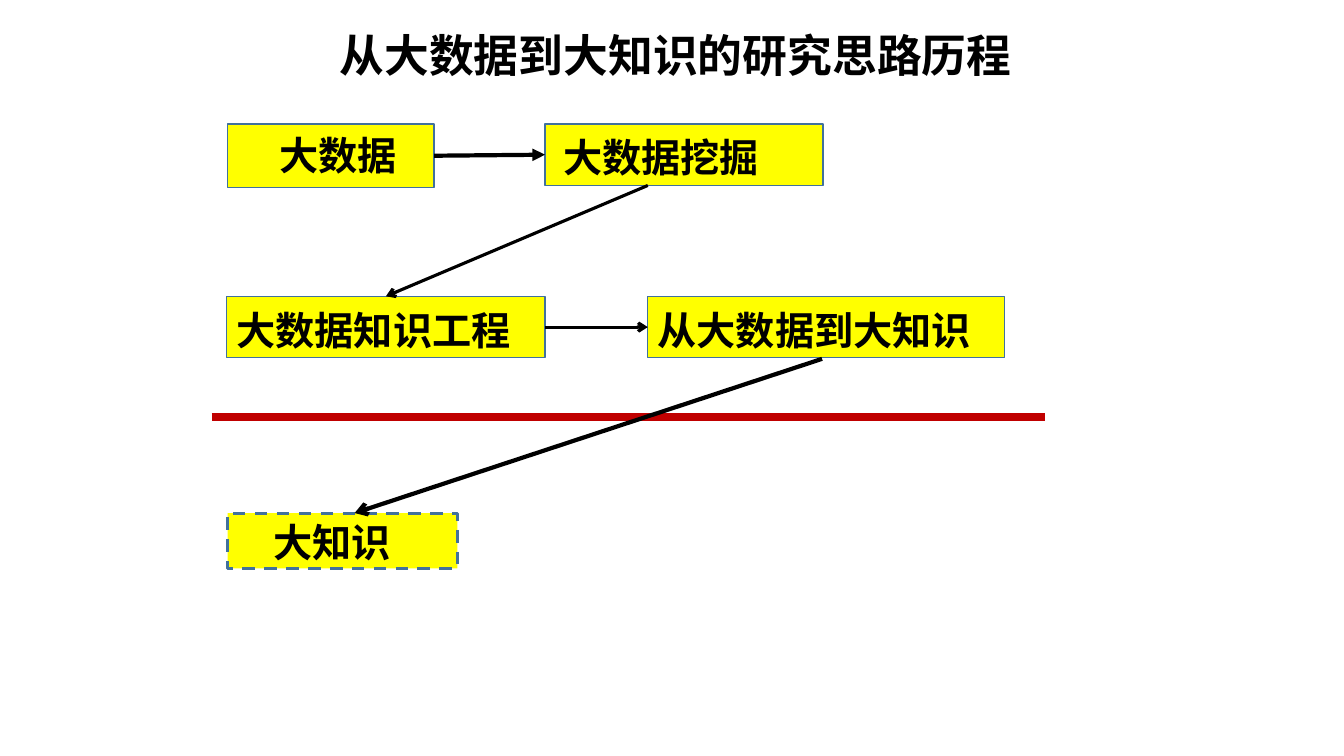
from lxml.etree import SubElement
from pptx import Presentation
from pptx.dml.color import RGBColor
from pptx.enum.dml import MSO_LINE
from pptx.enum.lang import MSO_LANGUAGE_ID
from pptx.enum.shapes import MSO_CONNECTOR, MSO_SHAPE
from pptx.enum.text import MSO_ANCHOR, MSO_AUTO_SIZE, PP_ALIGN
from pptx.oxml.ns import qn
from pptx.util import Inches, Pt

TOP, LEFT, BOTTOM, RIGHT = range(4)


def color(hex_value):
    """Turn a hex string into a colour."""
    return RGBColor.from_string(hex_value)


def grid(*cells):
    """Turn counts of columns or rows, ten to the inch, into lengths."""
    return [Inches(c / 10) for c in cells]


class Deck:
    """Hold the style and the current slide."""

    ink, box_fill, box_line = "000000", "FFFF00", "41719C"
    font = {"name": "Calibri", "bold": True,
            "language_id": MSO_LANGUAGE_ID.SIMPLIFIED_CHINESE}

    def __init__(self, cols, rows):
        """Start a deck with one title-only slide."""
        self.prs = Presentation()
        self.prs.slide_width, self.prs.slide_height = grid(cols, rows)
        self.s = self.prs.slides.add_slide(self.prs.slide_layouts[5])

    def text(self, sp, text, size, left, top):
        """Write one left-aligned line, inset from the top left corner."""
        tf = sp.text_frame
        margin_left, margin_top = grid(left, top)
        frame = {"word_wrap": True, "auto_size": MSO_AUTO_SIZE.NONE,
                 "vertical_anchor": MSO_ANCHOR.TOP,
                 "margin_left": margin_left, "margin_top": margin_top,
                 "margin_right": 0, "margin_bottom": 0}
        for key, value in frame.items():
            setattr(tf, key, value)
        p = tf.paragraphs[0]
        p.alignment = PP_ALIGN.LEFT
        r = p.add_run()
        r.text = text
        for key, value in {**self.font, "size": Pt(size)}.items():
            setattr(r.font, key, value)
        r.font.color.rgb = color(self.ink)

    def title(self, text, *place):
        """Move and fill the title placeholder."""
        sp = self.s.shapes.title
        sp.left, sp.top, sp.width, sp.height = grid(*place)
        self.text(sp, text, 32, 1, 0.5)

    def box(self, text, place, inset, width=1, dash=None):
        """Add a labelled box."""
        sp = self.s.shapes.add_shape(MSO_SHAPE.RECTANGLE, *grid(*place))
        sp.shadow.inherit = False
        sp.fill.solid()
        sp.fill.fore_color.rgb = color(self.box_fill)
        sp.line.color.rgb = color(self.box_line)
        sp.line.width = Pt(width)
        sp.line.dash_style = dash
        self.text(sp, text, 28, *inset)
        return sp

    def line(self, start, end, width, hex_value=ink, head=None):
        """Draw a line between points or (box, side) pairs."""
        points = [(0, 0) if hasattr(e[0], "shape_id") else e for e in (start, end)]
        c = self.s.shapes.add_connector(
            MSO_CONNECTOR.STRAIGHT, *grid(*points[0], *points[1]))
        for e, join in ((start, c.begin_connect), (end, c.end_connect)):
            if hasattr(e[0], "shape_id"):
                join(*e)
        c.line.color.rgb = color(hex_value)
        c.line.width = Pt(width)
        if head:
            SubElement(c.line._get_or_add_ln(), qn("a:tailEnd"), type=head)
        SubElement(c._element.spPr, qn("a:effectLst"))


def main():
    """Build the slide."""
    d = Deck(133.4, 75)
    d.title("从大数据到大知识的研究思路历程", 32.7, 2.2, 73.2, 6.4)

    data = d.box("大数据", (22.6, 12.3, 20.5, 6.3), (5.1, 0.7))
    mining = d.box("大数据挖掘", (54.1, 12.3, 27.6, 6.1), (1.8, 0.9))
    engineering = d.box("大数据知识工程", (22.5, 29.4, 31.6, 6.1), (1, 1))
    to_knowledge = d.box("从大数据到大知识", (64.3, 29.4, 35.4, 6.1), (1, 1))
    d.box("大知识", (22.6, 50.9, 22.8, 5.5), (4.5, 0.5), 2.25, MSO_LINE.DASH)

    d.line((21, 41.4), (103.7, 41.4), 6, "C00000")
    d.line((data, RIGHT), (mining, LEFT), 3, head="triangle")
    d.line((64.3, 18.4), (engineering, TOP), 2.25, head="arrow")
    d.line((engineering, RIGHT), (to_knowledge, LEFT), 2.25, head="arrow")
    d.line((81.6, 35.6), (35.2, 50.9), 3, head="arrow")
    d.prs.save("out.pptx")


if __name__ == "__main__":
    main()
